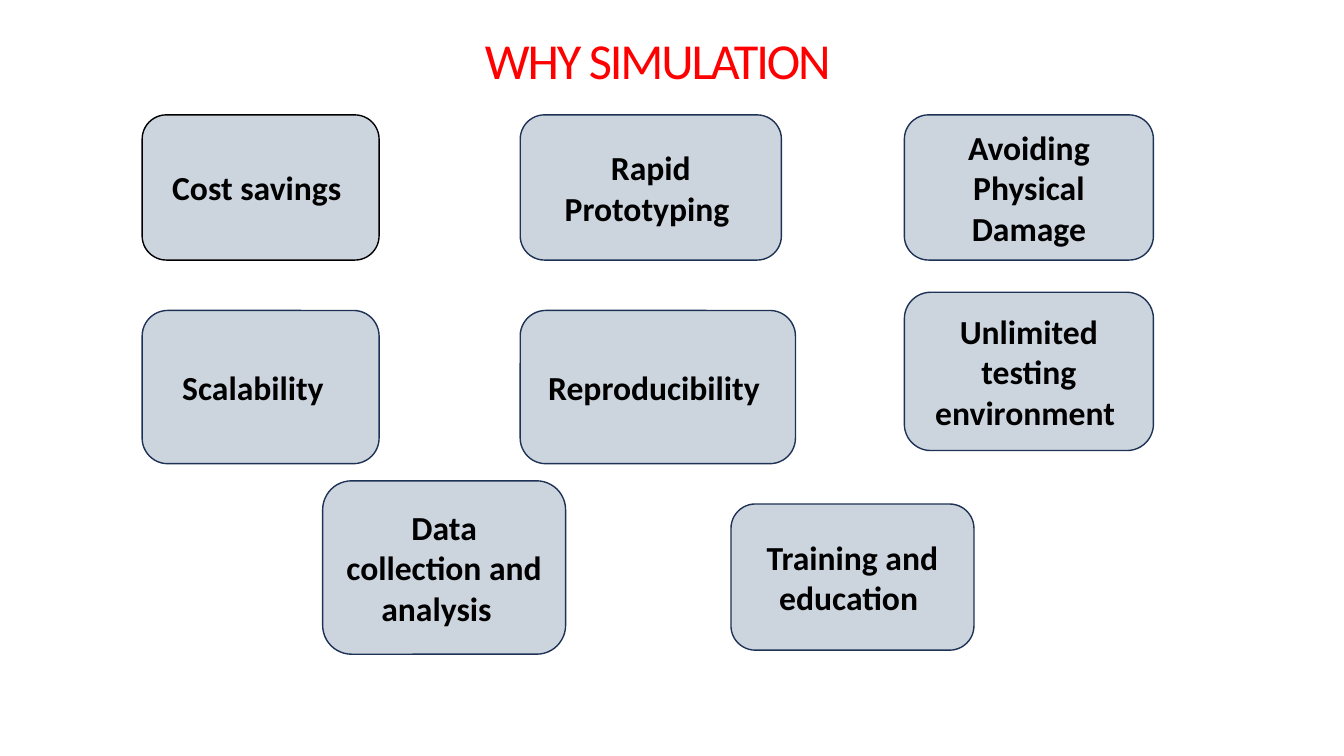
from pptx import Presentation
from pptx import util as u
from pptx.dml.color import RGBColor
from pptx.enum import shapes, text


def color(value):
    return RGBColor.from_string(value)


def style(frame, size, ink, bold=False):
    """Centre the text vertically, wrap it and format its only run."""
    frame.word_wrap = True
    frame.vertical_anchor = text.MSO_ANCHOR.MIDDLE
    span = frame.paragraphs[0].runs[0]
    span.font.name = "Calibri"
    span.font.size = u.Pt(size)
    span.font.bold = bold
    span.font.color.rgb = color(ink)
    return span


deck = Presentation()
deck.slide_width, deck.slide_height = u.Inches(13.33), u.Inches(7.5)
page = deck.slides.add_slide(deck.slide_layouts[6])

title = page.shapes.add_textbox(u.Inches(4.81), u.Inches(0.3), u.Inches(3.71), u.Inches(0.71))
frame = title.text_frame
frame.margin_left = frame.margin_right = frame.margin_top = frame.margin_bottom = 0
frame.text = "WHY SIMULATION "
frame.paragraphs[0].line_spacing = 0.75
span = style(frame, 36, "FF0000")
span.font._element.set("spc", "-150")

# Left edges of the three columns, tops of the two upper rows
LEFT, MIDDLE, RIGHT = 1.41, 5.16, 8.97
TOP, SECOND = 1.14, 3.08
NAVY, BLACK = "1E3256", "000000"

reasons = [
    ("Cost savings ", LEFT, TOP, 2.35, 1.44, BLACK),
    ("Rapid Prototyping ", MIDDLE, TOP, 2.59, 1.44, NAVY),
    ("Avoiding Physical Damage", RIGHT, TOP, 2.47, 1.44, NAVY),
    ("Scalability  ", LEFT, SECOND, 2.35, 1.52, NAVY),
    ("Reproducibility ", MIDDLE, SECOND, 2.73, 1.52, NAVY),
    ("Unlimited testing environment ", RIGHT, 2.9, 2.47, 1.57, NAVY),
    ("Data collection and analysis  ", 3.2, 4.77, 2.41, 1.72, NAVY),
    ("Training and education ", 7.25, 5, 2.41, 1.45, NAVY),
]
for label, left, top, width, height, outline in reasons:
    box = page.shapes.add_shape(
        shapes.MSO_SHAPE.ROUNDED_RECTANGLE,
        u.Inches(left), u.Inches(top), u.Inches(width), u.Inches(height))
    box.shadow.inherit = False
    box.fill.solid()
    box.fill.fore_color.rgb = color("CCD4DE")
    box.line.color.rgb = color(outline)
    box.line.width = u.Pt(1)
    box.text_frame.text = label
    box.text_frame.paragraphs[0].alignment = text.PP_ALIGN.CENTER
    style(box.text_frame, 24, BLACK, bold=True)

deck.save("out.pptx")
